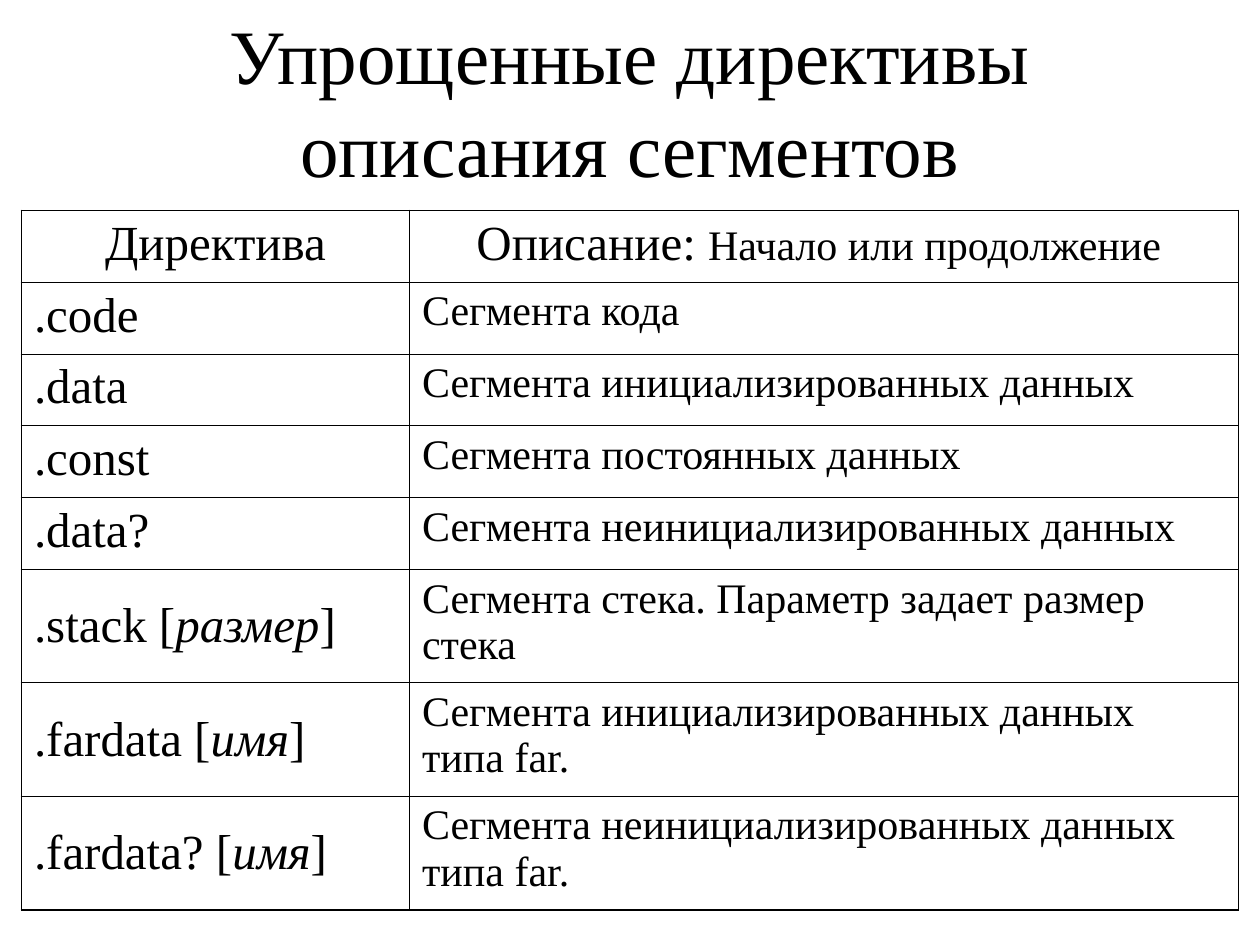
from pptx import Presentation
from pptx.dml.color import RGBColor
from pptx.enum.text import MSO_ANCHOR, PP_ALIGN
from pptx.oxml import parse_xml
from pptx.oxml.ns import nsdecls
from pptx.util import Inches, Pt

# Content: each cell is a list of (text, format) runs
TITLE = "Упрощенные директивы описания сегментов"
BIG, SMALL, ITALIC = {"size": Pt(28)}, {"size": Pt(24)}, {"size": Pt(28), "italic": True}
HEADER = (
    [("Директива", BIG)],
    [("Описание: ", BIG), ("Начало или продолжение ", SMALL)],
)
DIRECTIVES = [  # name, parameter, description
    (".code", None, "Сегмента кода"),
    (".data", None, "Сегмента инициализированных данных"),
    (".const", None, "Сегмента постоянных данных"),
    (".data?", None, "Сегмента неинициализированных данных"),
    (".stack", "размер", "Сегмента стека. Параметр задает размер стека"),
    (".fardata", "имя", "Сегмента инициализированных данных типа far."),
    (".fardata?", "имя", "Сегмента неинициализированных данных типа far."),
]

# Style and layout
COLORS = {"ink": "000000"}
FONT = "Times New Roman"
OUTER, INNER = Pt(1.08), Pt(0.45)
WIDTH, HEIGHT = 10, 7.5
COLS = (3.08, 6.58)
LOW_ROW, TALL_ROW = 0.57, 0.9
SPACE_BEFORE = (Pt(7), Pt(6))


def add_runs(p, runs, align):
    p.alignment = align
    for text, fmt in runs:
        r = p.add_run()
        r.text = text
        r.font.color.rgb = RGBColor.from_string(COLORS["ink"])
        for name, value in {"name": FONT, **fmt}.items():
            setattr(r.font, name, value)


def set_borders(cell, widths):
    tc_pr = cell._tc.get_or_add_tcPr()
    for i, (side, width) in enumerate(widths.items()):
        tc_pr.insert(i, parse_xml(
            f'<a:ln{side} {nsdecls("a")} w="{int(width)}"><a:solidFill>'
            f'<a:srgbClr val="{COLORS["ink"]}"/></a:solidFill></a:ln{side}>'))


def directive_runs(name, param):
    if param is None:
        return [(name, BIG)]
    return [(f"{name} [", BIG), (param, ITALIC), ("]", BIG)]


prs = Presentation()
prs.slide_width, prs.slide_height = Inches(WIDTH), Inches(HEIGHT)
s = prs.slides.add_slide(prs.slide_layouts[6])

# Title
title_w = WIDTH * 0.85
sp = s.shapes.add_textbox(Inches((WIDTH - title_w) / 2), Inches(0.17),
                          Inches(title_w), Inches(1.25))
tf = sp.text_frame
tf.word_wrap = True
tf.vertical_anchor = MSO_ANCHOR.MIDDLE
add_runs(tf.paragraphs[0], [(TITLE, {"size": Pt(44)})], PP_ALIGN.CENTER)

# Table
rows = [HEADER] + [(directive_runs(name, param), [(text, SMALL)])
                   for name, param, text in DIRECTIVES]
heights = [LOW_ROW] + [TALL_ROW if param else LOW_ROW for _, param, _ in DIRECTIVES]
table = s.shapes.add_table(len(rows), len(COLS), Inches((WIDTH - sum(COLS)) / 2),
                           Inches(1.67), Inches(sum(COLS)), Inches(sum(heights))).table
table.horz_banding = table.first_row = False
for column, width in zip(table.columns, COLS):
    column.width = Inches(width)

last_row, last_col = len(rows) - 1, len(COLS) - 1
for i, row in enumerate(rows):
    table.rows[i].height = Inches(heights[i])
    for j, runs in enumerate(row):
        cell = table.cell(i, j)
        cell.fill.background()
        if j == 0 and heights[i] == TALL_ROW:
            cell.vertical_anchor = MSO_ANCHOR.MIDDLE
        p = cell.text_frame.paragraphs[0]
        p.space_before = SPACE_BEFORE[j]
        add_runs(p, runs, PP_ALIGN.CENTER if i == 0 else PP_ALIGN.LEFT)
        on_edge = {"L": j == 0, "R": j == last_col, "T": i == 0, "B": i == last_row}
        set_borders(cell, {side: OUTER if edge else INNER
                           for side, edge in on_edge.items()})

prs.save("out.pptx")
